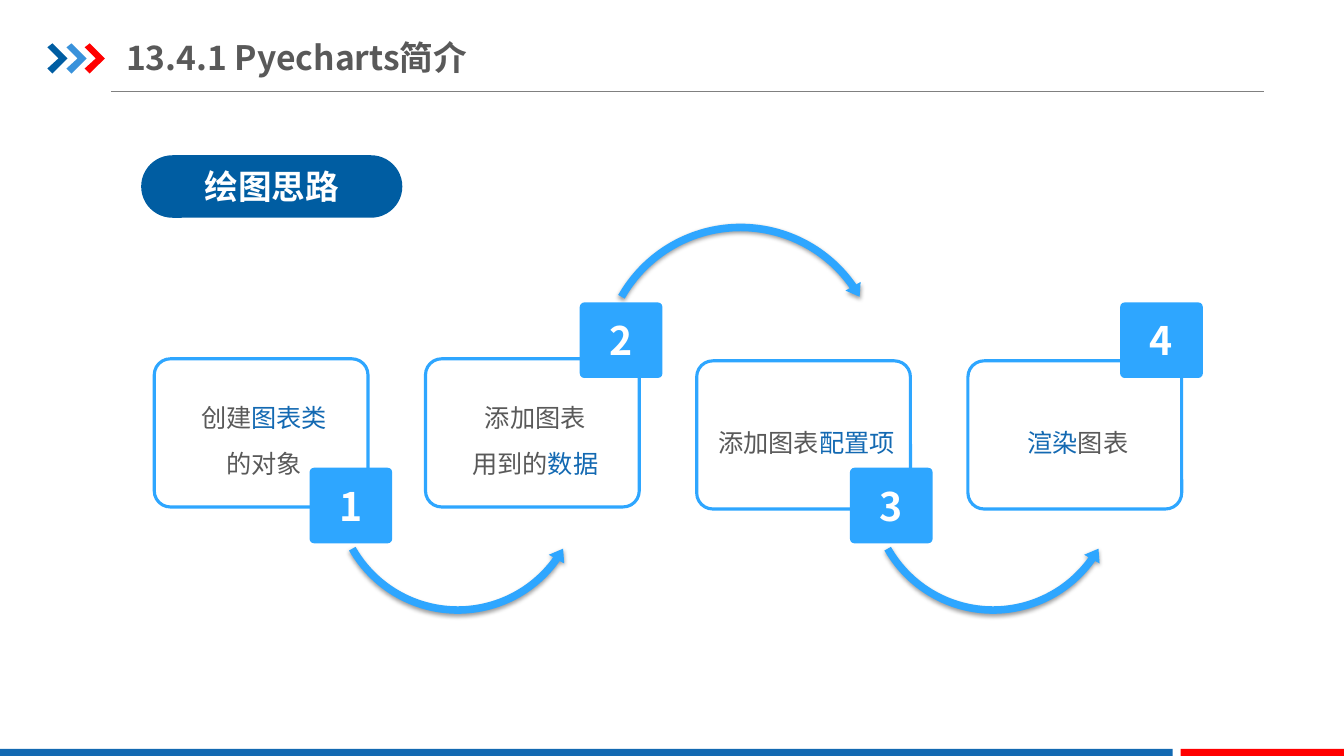
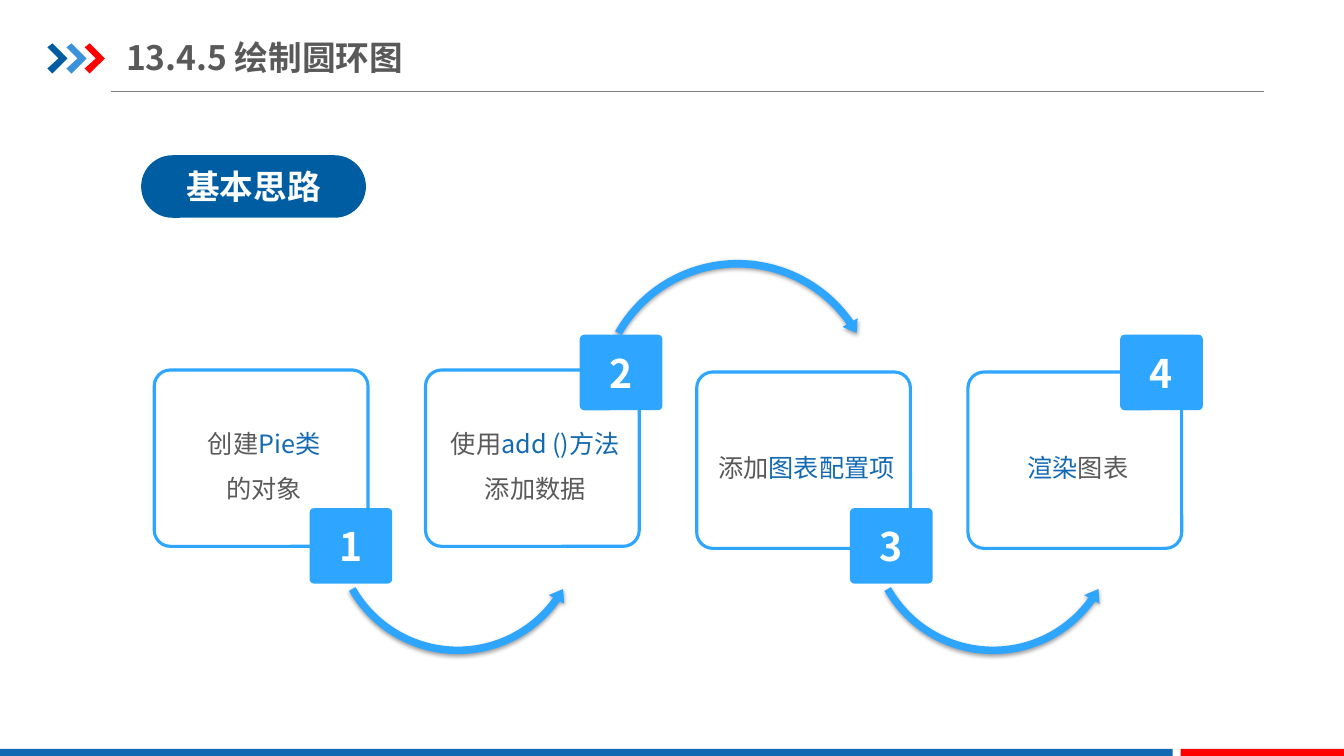
"""Build two slides that show the four steps of drawing a chart."""
from lxml import etree
from pptx import Presentation
from pptx.dml.color import RGBColor
from pptx.enum.shapes import MSO_CONNECTOR, MSO_SHAPE as SHAPE
from pptx.enum.text import MSO_ANCHOR as ANCHOR, PP_ALIGN as ALIGN
from pptx.oxml.ns import qn
from pptx.util import Inches, Pt

FONT = "Noto Sans CJK SC"
NAVY = RGBColor(0x00, 0x5D, 0xA2)
MID_BLUE = RGBColor(0x39, 0x92, 0xDB)
BLUE = RGBColor(0x13, 0x69, 0xB2)
SKY = RGBColor(0x2E, 0xA6, 0xFF)
RED = RGBColor(0xFF, 0x00, 0x00)
GRAY = RGBColor(0x59, 0x59, 0x59)
RULE_GRAY = RGBColor(0x80, 0x80, 0x80)
WHITE = RGBColor(0xFF, 0xFF, 0xFF)

SLIDES = [
    {
        "title": "13.4.1 Pyecharts简介",
        "label": "绘图思路", "label_width": 2.59,
        "steps": [
            [[("创建", GRAY), ("图表类", BLUE)], [("的对象", GRAY)]],
            [[("添加图表", GRAY)], [("用到的", GRAY), ("数据", BLUE)]],
            [[("添加图表", GRAY), ("配置项", BLUE)]],
            [[("渲染", BLUE), ("图表", GRAY)]],
        ],
        "card_top": 3.56, "card_height": 1.47,
        "low_badge": 4.64, "high_badge": 3.0, "high_arc": (5.9, 2.17),
    },
    {
        "title": "13.4.5 绘制圆环图",
        "label": "基本思路", "label_width": 2.23,
        "steps": [
            [[("创建", GRAY), ("Pie类", BLUE)], [("的对象", GRAY)]],
            [[("使用", GRAY), ("add ()方法", BLUE)], [("添加数据", GRAY)]],
            [[("添加", GRAY), ("图表配置项", BLUE)]],
            [[("渲染", BLUE), ("图表", GRAY)]],
        ],
        "card_top": 3.67, "card_height": 1.75,
        "low_badge": 5.04, "high_badge": 3.32, "high_arc": (5.87, 2.53),
    },
]

CHEVRONS = [(0.47, NAVY), (0.66, MID_BLUE), (0.84, RED)]
CHEVRON_POINTS = [(0, 0.47), (0.05, 0.43), (0.2, 0.58), (0.05, 0.73),
                  (0, 0.68), (0.11, 0.58)]
BANDS = [(0, 11.63, BLUE), (11.71, 1.63, RED)]
CARD_LEFT, CARD_PITCH, CARD_WIDTH, CARD_RADIUS = 1.53, 2.69, 2.12, 0.16
BADGE_LEFT, BADGE_PITCH, BADGE_WIDTH, BADGE_HEIGHT = 3.07, 2.68, 0.82, 0.75
LOW_ARC_LEFTS, LOW_ARC_RISE = (3.25, 8.56), 1.08
LOW_ARC = (SHAPE.LEFT_CIRCULAR_ARROW, 2.58,
           (0.029, 3.512, 21.267, 90.245, 0.034))
HIGH_ARC = (SHAPE.CIRCULAR_ARROW, 2.89,
            (0.026, 3.115, 195.129, 125.755, 0.03))


def add_shape(s, kind, box, fill=None, line=None, adjustments=()):
    sp = s.shapes.add_shape(kind, *map(Inches, box))
    sp.shadow.inherit = False
    for i, value in enumerate(adjustments):
        sp.adjustments[i] = value
    if fill is None:
        sp.fill.background()
    else:
        sp.fill.solid()
        sp.fill.fore_color.rgb = fill
    if line is None:
        sp.line.fill.background()
    else:
        sp.line.color.rgb = line
        sp.line.width = Pt(2.25)
    return sp


def set_text(sp, lines, size, bold=False, align=ALIGN.CENTER, spacing=None,
             left=0):
    tf = sp.text_frame
    tf.word_wrap = True
    tf.vertical_anchor = ANCHOR.MIDDLE
    tf.margin_left = Inches(left)
    tf.margin_right = tf.margin_top = tf.margin_bottom = 0
    for i, runs in enumerate(lines):
        p = tf.add_paragraph() if i else tf.paragraphs[0]
        p.alignment = align
        if spacing:
            p.line_spacing = spacing
        p.font.name, p.font.size, p.font.bold = FONT, Pt(size), bold
        def_rpr = p._p.pPr.find(qn("a:defRPr"))
        etree.SubElement(def_rpr, qn("a:ea"), typeface=FONT)
        for text, color in runs:
            r = p.add_run()
            r.text = text
            r.font.color.rgb = color


def add_frame(s, title):
    rule = s.shapes.add_connector(MSO_CONNECTOR.STRAIGHT, Inches(1.1),
                                  Inches(0.91), Inches(12.54), Inches(0.91))
    rule.line.color.rgb = RULE_GRAY
    rule.line.width = Pt(0.75)
    etree.SubElement(rule._element.spPr, qn("a:effectLst"))
    for left, color in CHEVRONS:
        points = [(Inches(left + x), Inches(y)) for x, y in CHEVRON_POINTS]
        builder = s.shapes.build_freeform(*points[0])
        builder.add_line_segments(points[1:], close=True)
        sp = builder.convert_to_shape()
        sp.shadow.inherit = False
        sp.fill.solid()
        sp.fill.fore_color.rgb = color
        sp.line.fill.background()
    for left, width, color in BANDS:
        add_shape(s, SHAPE.RECTANGLE, (left, 7.43, width, 0.09), color)
    box = s.shapes.add_textbox(*map(Inches, (1.25, 0.29, 4.55, 0.55)))
    set_text(box, [[(title, GRAY)]], 24, bold=True, align=ALIGN.LEFT)


def add_arc(s, style, left, top):
    kind, size, adjustments = style
    sp = add_shape(s, kind, (left, top, size, size), SKY,
                   adjustments=adjustments)
    effects = sp._element.spPr.find(qn("a:effectLst"))
    shadow = etree.SubElement(effects, qn("a:outerShdw"), blurRad="40000",
                              dist="20000", dir="5400000", rotWithShape="0")
    black = etree.SubElement(shadow, qn("a:srgbClr"), val="000000")
    etree.SubElement(black, qn("a:alpha"), val="38000")


def add_step(s, i, lines, data):
    height = data["card_height"]
    top = data["card_top"] + (0.02 if i > 1 else 0)
    card = add_shape(s, SHAPE.ROUNDED_RECTANGLE,
                     (CARD_LEFT + i * CARD_PITCH, top, CARD_WIDTH, height),
                     line=SKY, adjustments=(CARD_RADIUS / height,))
    set_text(card, lines, 18, spacing=1.5, left=0.06)
    badge_top = data["high_badge" if i % 2 else "low_badge"]
    badge = add_shape(s, SHAPE.ROUNDED_RECTANGLE,
                      (BADGE_LEFT + i * BADGE_PITCH, badge_top,
                       BADGE_WIDTH, BADGE_HEIGHT), SKY, adjustments=(0.06,))
    set_text(badge, [[(str(i + 1), WHITE)]], 28, bold=True)


def main():
    prs = Presentation()
    prs.slide_width, prs.slide_height = Inches(13.33), Inches(7.5)
    for data in SLIDES:
        s = prs.slides.add_slide(prs.slide_layouts[6])
        add_frame(s, data["title"])
        label = add_shape(s, SHAPE.ROUNDED_RECTANGLE,
                          (1.4, 1.54, data["label_width"], 0.62), NAVY,
                          adjustments=(0.5,))
        set_text(label, [[(data["label"], WHITE)]], 24, bold=True)
        for left in LOW_ARC_LEFTS:
            add_arc(s, LOW_ARC, left, data["low_badge"] - LOW_ARC_RISE)
        add_arc(s, HIGH_ARC, *data["high_arc"])
        for i, lines in enumerate(data["steps"]):
            add_step(s, i, lines, data)
    prs.save("out.pptx")


if __name__ == "__main__":
    main()
